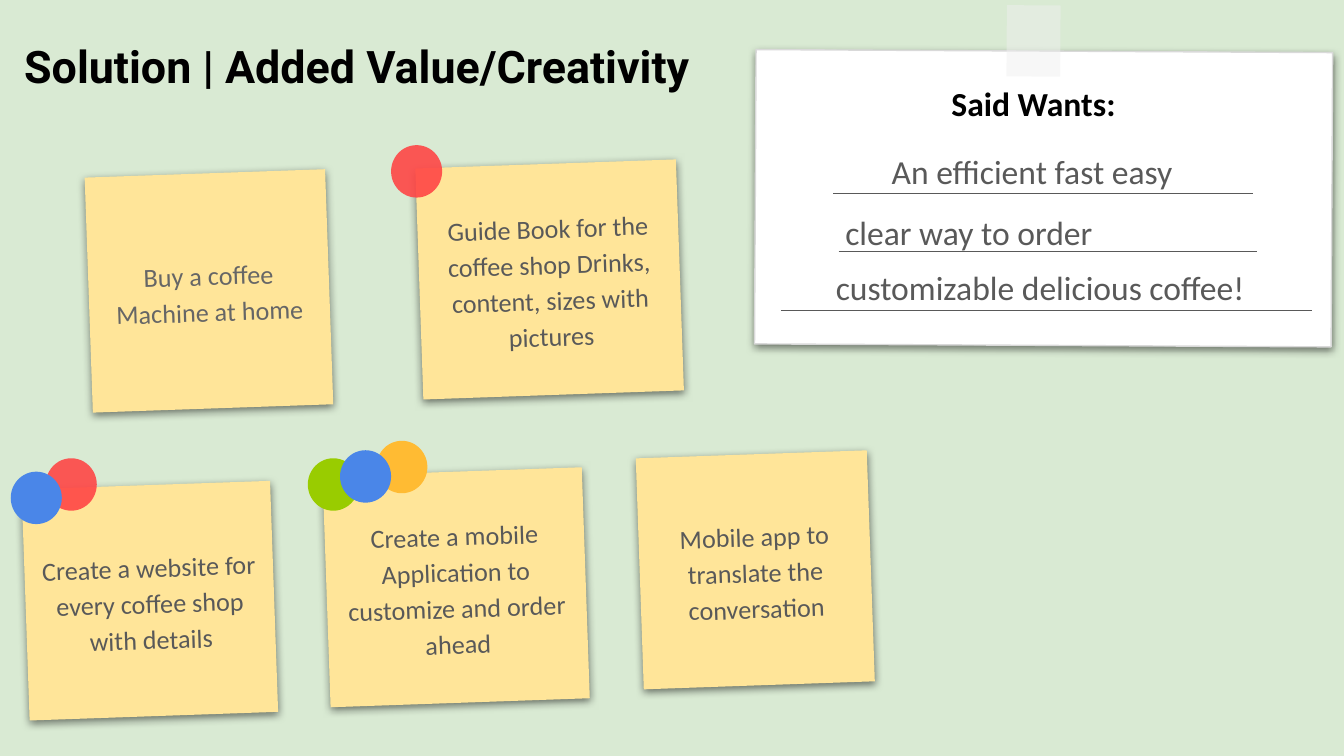
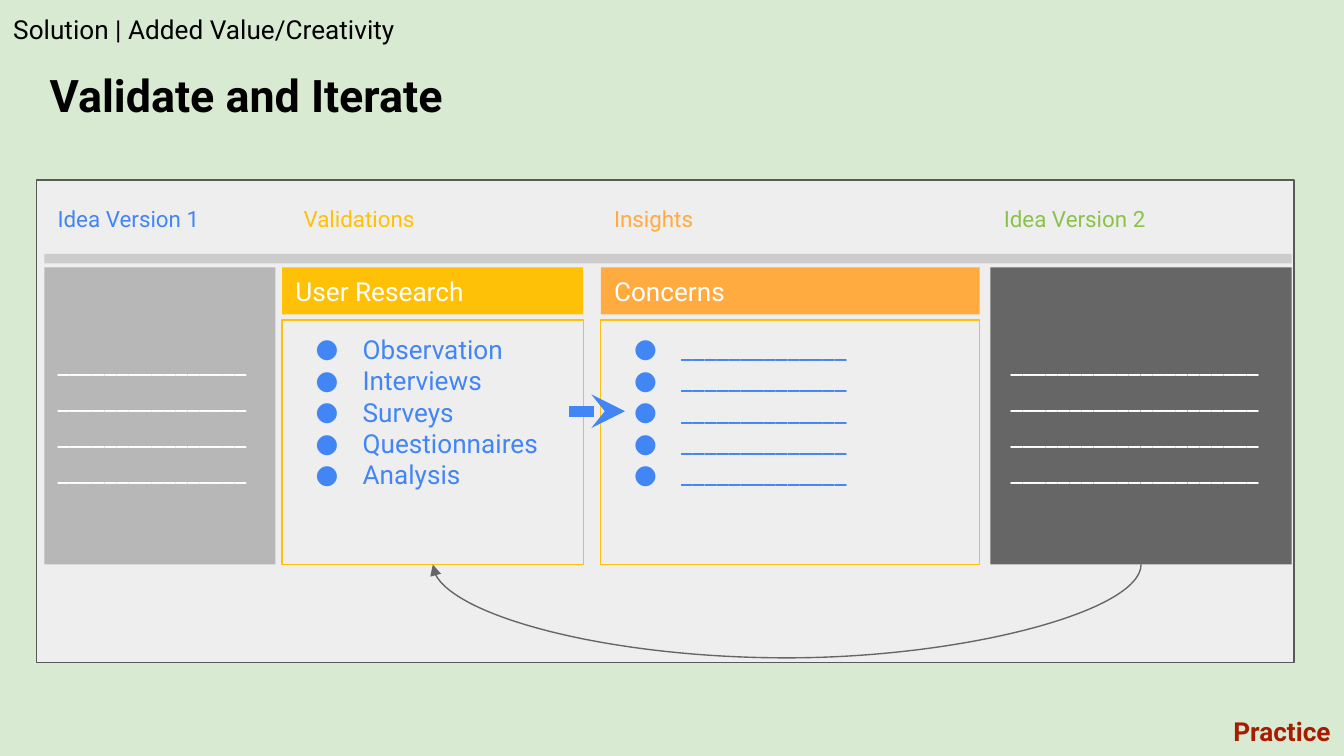
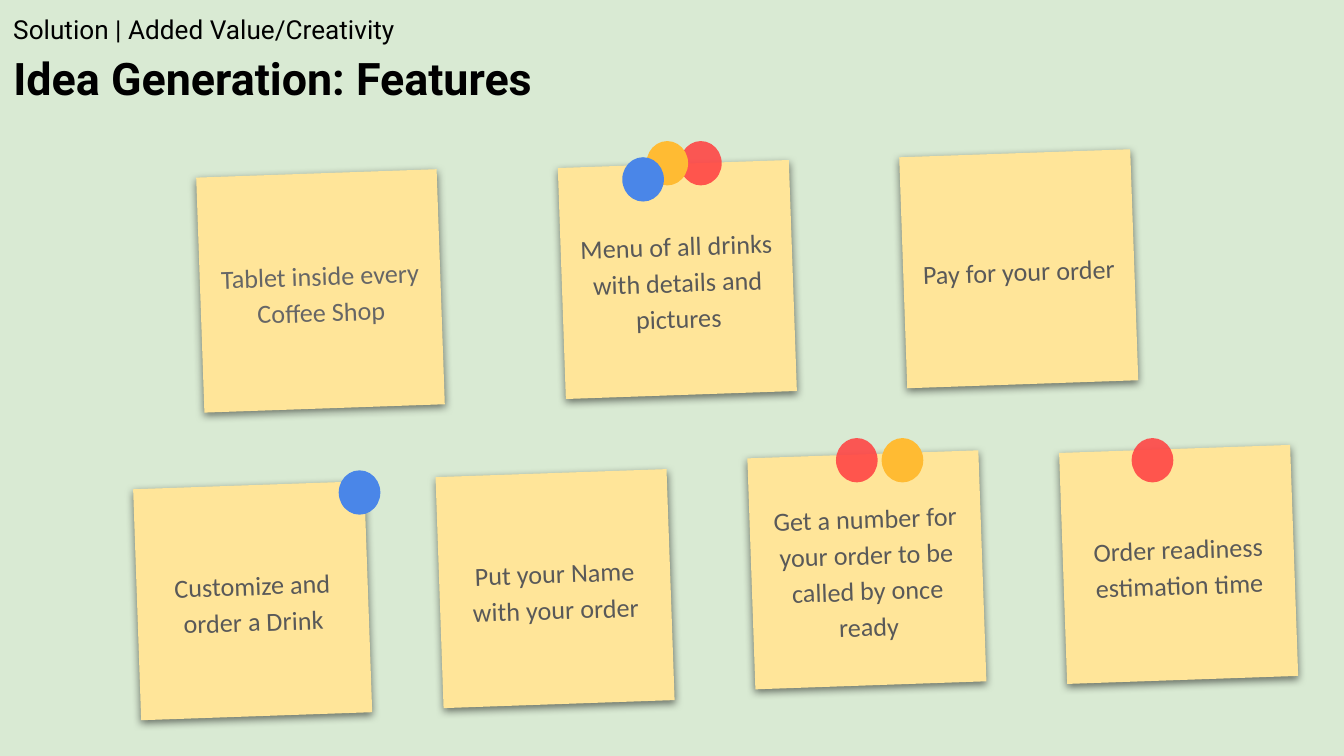
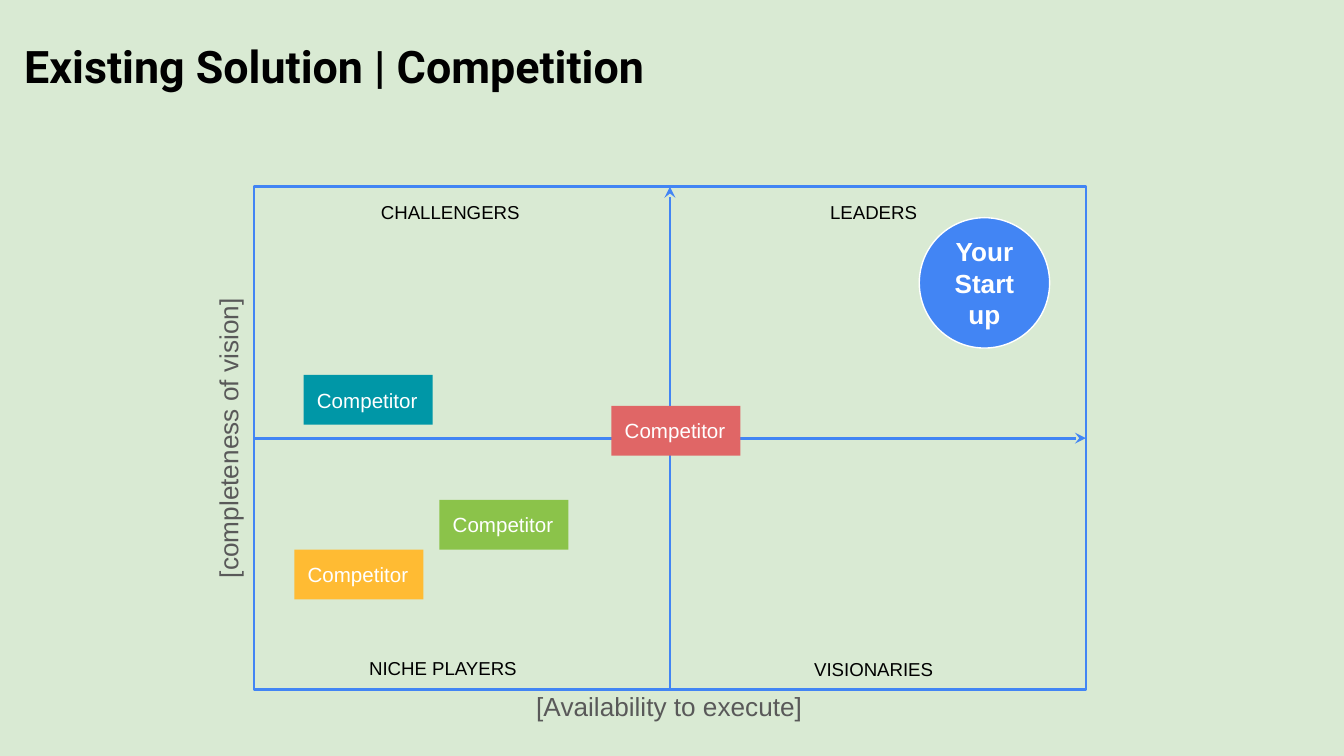
from lxml.etree import SubElement
from pptx import Presentation
from pptx.dml.color import RGBColor
from pptx.enum.shapes import MSO_CONNECTOR as LINK, MSO_SHAPE as SHAPE
from pptx.enum.text import MSO_ANCHOR as ANCHOR, MSO_AUTO_SIZE as AUTO, PP_ALIGN as ALIGN
from pptx.oxml.ns import qn
from pptx.util import Emu, Inches, Pt

GREEN_BG, WHITE, BLACK = "D9EAD3", "FFFFFF", "000000"
GREY, MID_GREY, DARK_GREY = "EEEEEE", "666666", "595959"
NOTE_YELLOW, AMBER, ORANGE = "FFE599", "FFC107", "FFAB40"
BLUE, LIME = "4285F4", "8BC34A"
DOT_RED, DOT_YELLOW, DOT_BLUE, DOT_GREEN = "FF4444", "FFBB33", "4A86E8", "99CC00"
SECTION = "Solution | Added Value/Creativity"
TOP, BOTTOM, LEFT, RIGHT = 0, 2, 1, 3


def rgb(color):
    return RGBColor.from_string(color)


def write(sp, text, size, color, font="Roboto", bold=False, align=ALIGN.LEFT,
          anchor=ANCHOR.TOP, spacing=None, left_inset=0.1, bullet=None):
    """Fill a shape with one paragraph per line of text."""
    tf = sp.text_frame
    frame = dict(word_wrap=True, auto_size=AUTO.NONE, vertical_anchor=anchor,
                 margin_left=Inches(left_inset), margin_right=Inches(0.1),
                 margin_top=Inches(0.1), margin_bottom=Inches(0.1))
    for name, value in frame.items():
        setattr(tf, name, value)
    for i, line in enumerate(text.split("\n")):
        p = tf.add_paragraph() if i else tf.paragraphs[0]
        p.alignment = align
        if spacing:
            p.line_spacing = spacing
        if bullet:
            add_bullet(p, bullet, font)
        r = p.add_run()
        r.text = line
        for name, value in dict(name=font, size=Pt(size), bold=bold).items():
            setattr(r.font, name, value)
        r.font.color.rgb = rgb(color)


def add_bullet(p, color, font):
    pPr = p._p.get_or_add_pPr()
    pPr.set("marL", str(Inches(0.5)))
    pPr.set("indent", str(Inches(-0.35)))
    SubElement(SubElement(pPr, qn("a:buClr")), qn("a:srgbClr"), val=color)
    SubElement(pPr, qn("a:buFont"), typeface=font)
    SubElement(pPr, qn("a:buChar"), char="●")


def add_label(slide, at, text, size, color, **fmt):
    sp = slide.shapes.add_textbox(*map(Inches, at))
    write(sp, text, size, color, **fmt)
    return sp


def add_box(slide, at, fill=None, line=None, width=0.75, kind=SHAPE.RECTANGLE,
            alpha=None, rotation=0):
    sp = slide.shapes.add_shape(kind, *map(Inches, at))
    sp.shadow.inherit = False
    sp.rotation = rotation
    if fill:
        sp.fill.solid()
        sp.fill.fore_color.rgb = rgb(fill)
    else:
        sp.fill.background()
    if alpha:
        clr = sp.element.spPr.find(f"{qn('a:solidFill')}/{qn('a:srgbClr')}")
        SubElement(clr, qn("a:alpha"), val=str(alpha * 1000))
    if line:
        sp.line.color.rgb = rgb(line)
        sp.line.width = Pt(width)
    else:
        sp.line.fill.background()
    return sp


def add_soft_shadow(sp):
    shadow = SubElement(sp.element.spPr.find(qn("a:effectLst")), qn("a:outerShdw"),
                        blurRad=str(Pt(4.5)), dist=str(Pt(1.5)), dir="5400000",
                        algn="bl", rotWithShape="0")
    clr = SubElement(shadow, qn("a:srgbClr"), val=BLACK)
    SubElement(clr, qn("a:alpha"), val="50000")


def add_line(slide, start, end, color, width=0.75, arrow=None, kind=LINK.STRAIGHT):
    c = slide.shapes.add_connector(kind, *map(Inches, start + end))
    c.line.color.rgb = rgb(color)
    c.line.width = Pt(width)
    if arrow:
        SubElement(c.line._get_or_add_ln(), qn("a:tailEnd"), type=arrow)
    SubElement(c.element.spPr, qn("a:effectLst"))
    return c


def join(c, first, first_side, last, last_side):
    c.begin_connect(first, first_side)
    c.end_connect(last, last_side)


def add_return_curve(slide, first, last, depth):
    """Curve below two boxes, from the bottom of the right one to the left one."""
    c = add_line(slide, (0, 0), (1, 1), MID_GREY, arrow="triangle", kind=LINK.CURVE)
    join(c, first, BOTTOM, last, BOTTOM)
    span, middle, y = c.width, c.left + c.width // 2, c.top
    # Stand the connector upright, then turn it so that it bulges downwards.
    thin = Emu(600)
    xfrm = c.element.spPr.find(qn("a:xfrm"))
    for name in ("flipH", "flipV"):
        xfrm.attrib.pop(name, None)
    xfrm.set("rot", "5400000")
    c.left, c.top, c.width, c.height = middle, y - span // 2, thin, span
    geom = c.element.spPr.find(qn("a:prstGeom"))
    guides = geom.find(qn("a:avLst"))
    if guides is None:
        guides = SubElement(geom, qn("a:avLst"))
    adj = round(Inches(depth) / thin * 100000)
    SubElement(guides, qn("a:gd"), name="adj1", fmla=f"val {adj}")


def add_note(slide, x, y, text, w=1.72, h=1.72, color=DARK_GREY):
    sp = add_box(slide, (x, y, w, h), NOTE_YELLOW, rotation=358)
    add_soft_shadow(sp)
    write(sp, text, 14, color, font="Calibri", align=ALIGN.CENTER,
          anchor=ANCHOR.MIDDLE, spacing=1.15)


def add_dots(slide, w, h, dots):
    for x, y, color in dots:
        add_box(slide, (x, y, w, h), color, kind=SHAPE.OVAL,
                alpha=89 if color == DOT_RED else None)


def new_slide(prs, title, at, section=None):
    slide = prs.slides.add_slide(prs.slide_layouts[5])
    sp = slide.shapes.title
    sp.left, sp.top, sp.width, sp.height = map(Inches, at)
    write(sp, title, 24, BLACK, bold=True)
    if section:
        add_label(slide, (0, 0, 6.42, 0.35), section, 14, BLACK)
    return slide


def add_wants_card(slide):
    add_soft_shadow(add_box(slide, (5.62, 0.38, 4.29, 2.19), WHITE, "D9D9D9", rotation=0.3))
    for x1, x2, y in ((6.2, 9.32, 1.44), (6.24, 9.35, 1.87), (5.81, 9.76, 2.31)):
        add_line(slide, (x1, y), (x2, y), DARK_GREY)
    add_box(slide, (7.49, 0.04, 0.4, 0.53), "EFEFEF", alpha=48, rotation=0.4)
    text = dict(size=18, font="Calibri")
    centred = dict(text, align=ALIGN.CENTER)
    add_label(slide, (5.45, 1.02, 4.46, 0.43), "An efficient fast easy",
              color=DARK_GREY, **centred)
    add_label(slide, (5.91, 1.45, 3.7, 0.56), "clear way to order", color=DARK_GREY,
              anchor=ANCHOR.MIDDLE, left_inset=0.38, **text)
    add_label(slide, (5.82, 1.97, 3.84, 0.33), "customizable delicious coffee!",
              color=DARK_GREY, anchor=ANCHOR.MIDDLE, **centred)
    add_label(slide, (6.64, 0.49, 2.1, 0.56), "Said Wants:", color=BLACK, bold=True,
              anchor=ANCHOR.MIDDLE, **centred)


def build_solution(prs):
    slide = new_slide(prs, SECTION, (0.08, 0.19, 6.42, 0.56))
    add_wants_card(slide)
    add_note(slide, 0.66, 1.29, "Buy a coffee Machine at home", 1.79, 1.75, MID_GREY)
    for x, y, w, text in (
            (3.12, 1.22, 1.94, "Guide Book for the coffee shop Drinks, content, sizes with pictures"),
            (0.19, 3.61, 1.85, "Create a website for every coffee shop with details"),
            (2.43, 3.51, 1.93, "Create a mobile Application to customize and order ahead"),
            (4.76, 3.38, 1.72, "Mobile app to translate the conversation")):
        add_note(slide, x, y, text, w)
    add_dots(slide, 0.38, 0.39, (
        (0.34, 3.41, DOT_RED), (2.8, 3.28, DOT_YELLOW), (0.08, 3.51, DOT_BLUE),
        (2.29, 3.41, DOT_GREEN), (2.53, 3.35, DOT_BLUE), (2.91, 1.08, DOT_RED)))


def add_blank_lines(slide, at, fill, length, left_inset=0.1):
    sp = add_box(slide, at, fill)
    write(sp, "\n".join(["_" * length] * 4), 14, WHITE, align=ALIGN.JUSTIFY,
          anchor=ANCHOR.MIDDLE, spacing=1.15, left_inset=left_inset)
    return sp


def add_list_column(slide, x, w, fill, heading, items):
    head = add_box(slide, (x, 1.99, w, 0.35), fill)
    write(head, heading, 14, WHITE, anchor=ANCHOR.MIDDLE)
    body = add_box(slide, (x, 2.38, w, 1.82), line=AMBER)
    write(body, "\n".join(items), 14, BLUE, bullet=BLUE)
    return body


def build_validation(prs):
    slide = new_slide(prs, "Validate and Iterate", (0.27, 0.4, 3.37, 0.4), SECTION)
    add_box(slide, (0.27, 1.34, 9.36, 3.59), GREY, DARK_GREY)
    add_box(slide, (0.33, 1.89, 9.28, 0.07), "CCCCCC")
    for x, w, h, text, color in ((0.33, 1.72, 0.35, "Idea Version 1", BLUE),
                                 (2.16, 2.31, 0.28, "Validations", AMBER),
                                 (4.47, 2.31, 0.28, "Insights", ORANGE),
                                 (7.37, 1.45, 0.35, "Idea Version 2", LIME)):
        add_label(slide, (x, 1.43, w, h), text, 12, color)
    add_blank_lines(slide, (0.33, 1.99, 1.72, 2.21), "B7B7B7", 16)
    version_2 = add_blank_lines(slide, (7.37, 1.99, 2.24, 2.21), MID_GREY, 21, 0.15)
    research = add_list_column(slide, 2.1, 2.24, AMBER, "User Research", (
        "Observation", "Interviews", "Surveys", "Questionnaires", "Analysis"))
    add_list_column(slide, 4.47, 2.82, ORANGE, "Concerns", ["_" * 14] * 5)
    add_return_curve(slide, version_2, research, 0.58)
    add_label(slide, (8.87, 5.22, 1.13, 0.41), "Practice", 14, "A61C00", bold=True,
              align=ALIGN.RIGHT)
    add_line(slide, (4.23, 3.06), (4.65, 3.06), BLUE, 6, "stealth")


def build_features(prs):
    slide = new_slide(prs, "Idea Generation: Features", (0, 0.28, 6.67, 0.56), SECTION)
    add_note(slide, 1.49, 1.29, "Tablet inside every Coffee Shop", 1.79, 1.75, MID_GREY)
    for x, y, text in (
            (4.18, 1.22, "Menu of all drinks with details and pictures"),
            (1.02, 3.61, "Customize and order a Drink"),
            (3.27, 3.52, "Put your Name with your order"),
            (5.59, 3.38, "Get a number for your order to be called by once ready"),
            (6.72, 1.14, "Pay for your order"),
            (7.91, 3.34, "Order readiness estimation time")):
        add_note(slide, x, y, text)
    add_dots(slide, 0.31, 0.33, (
        (5.06, 1.05, DOT_RED), (4.81, 1.05, DOT_YELLOW), (4.63, 1.17, DOT_BLUE),
        (8.42, 3.26, DOT_RED), (6.22, 3.26, DOT_RED), (2.52, 3.5, DOT_BLUE),
        (6.56, 3.26, DOT_YELLOW)))


def build_competition(prs):
    slide = new_slide(prs, "Existing Solution | Competition", (0.08, 0.19, 6.42, 0.56))
    frame = add_box(slide, (1.89, 1.39, 6.19, 3.74), line=BLUE, width=1.5)
    for start, end, first, last in (((4.99, 5.13), (4.99, 1.39), BOTTOM, TOP),
                                    ((1.89, 3.26), (8.08, 3.26), LEFT, RIGHT)):
        join(add_line(slide, start, end, BLUE, 1.5, "stealth"), frame, first, frame, last)

    centred = dict(font="Arial", align=ALIGN.CENTER)
    vision = add_label(slide, (0.49, 3.1, 2.3, 0.32), "[completeness of vision]", 14,
                       DARK_GREY, **centred)
    vision.rotation = 270
    startup = add_box(slide, (6.84, 1.62, 0.97, 0.97), BLUE, WHITE, kind=SHAPE.OVAL)
    write(startup, "Your Startup", 14, WHITE, bold=True, anchor=ANCHOR.MIDDLE, **centred)
    for x, y, color in ((2.19, 4.09, DOT_YELLOW), (3.27, 3.72, LIME),
                        (4.55, 3.02, "E06666"), (2.26, 2.79, "0097A7")):
        competitor = add_box(slide, (x, y, 0.96, 0.37), color)
        write(competitor, "Competitor", 11, WHITE, font="Arial", anchor=ANCHOR.MIDDLE)
    add_label(slide, (3.66, 5.04, 2.64, 0.32), "[Availability to execute]", 14,
              DARK_GREY, **centred)
    for at, text in (((2.35, 4.81, 1.89, 0.32), "NICHE PLAYERS"),
                     ((5.68, 4.85, 1.64, 0.25), "VISIONARIES"),
                     ((2.48, 1.39, 1.74, 0.37), "CHALLENGERS"),
                     ((5.88, 1.39, 1.24, 0.37), "LEADERS")):
        add_label(slide, at, text, 10, BLACK, anchor=ANCHOR.MIDDLE, **centred)


def main():
    prs = Presentation()
    prs.slide_width, prs.slide_height = Inches(10), Inches(10 * 9 / 16)
    background = prs.slide_master.background.fill
    background.solid()
    background.fore_color.rgb = rgb(GREEN_BG)
    for build in (build_solution, build_validation, build_features, build_competition):
        build(prs)
    prs.save("out.pptx")


if __name__ == "__main__":
    main()
